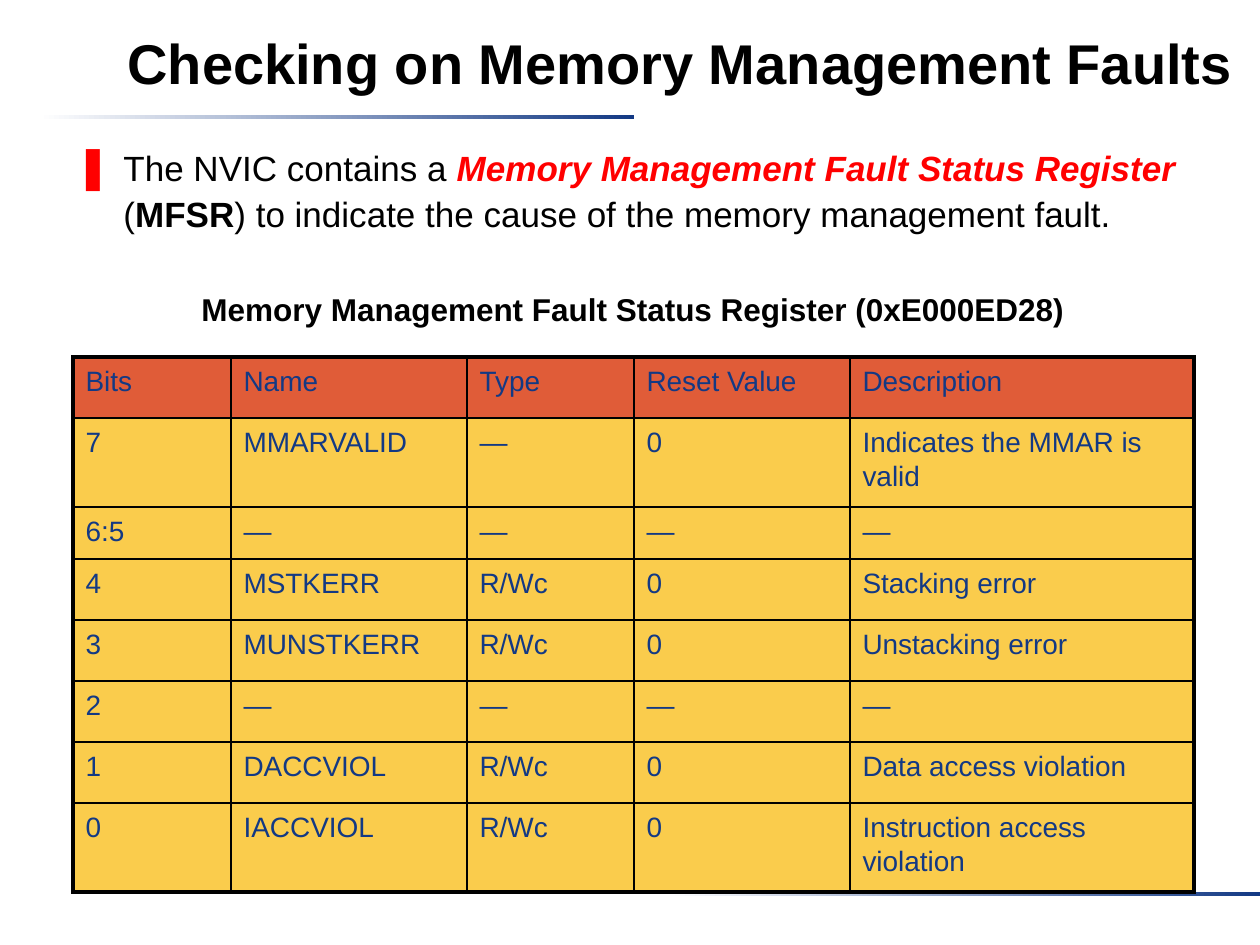
"""Build the memory management fault slide."""
import lxml.etree
import pptx
import pptx.dml.color
import pptx.enum.shapes
import pptx.enum.text
import pptx.oxml.ns
import pptx.util

PIXEL = 914400 / 126
COLORS = {
    "white": "FFFFFF", "black": "000000", "navy": "133984",
    "red": "FF0000", "header": "E05C38", "body": "FACC4C",
}
COLUMN_WIDTHS = [158, 236, 167, 216, 344]
ROW_HEIGHTS = [61, 89, 52, 61, 61, 61, 61, 89]
REGISTER_BITS = [
    ["Bits", "Name", "Type", "Reset Value", "Description"],
    ["7", "MMARVALID", "—", "0", "Indicates the MMAR is valid"],
    ["6:5", "—", "—", "—", "—"],
    ["4", "MSTKERR", "R/Wc", "0", "Stacking error"],
    ["3", "MUNSTKERR", "R/Wc", "0", "Unstacking error"],
    ["2", "—", "—", "—", "—"],
    ["1", "DACCVIOL", "R/Wc", "0", "Data access violation"],
    ["0", "IACCVIOL", "R/Wc", "0", "Instruction access violation"],
]


def px(length):
    """Turn pixels into EMU."""
    return pptx.util.Emu(round(length * PIXEL))


def rgb(name):
    """Look up a named colour."""
    return pptx.dml.color.RGBColor.from_string(COLORS[name])


def add_element(parent, tag, **attributes):
    """Append a DrawingML element to a parent."""
    element = lxml.etree.SubElement(parent, pptx.oxml.ns.qn(tag))
    for name, value in attributes.items():
        element.set(name, str(value))
    return element


def add_run(paragraph, text, size, color="black", bold=False, italic=False):
    """Add formatted text to a paragraph."""
    run = paragraph.add_run()
    run.text = text
    run.font.name = "Arial"
    run.font.size = pptx.util.Pt(size)
    run.font.color.rgb = rgb(color)
    run.font.bold = bold
    run.font.italic = italic


def add_rectangle(slide, left, top, width, height):
    """Add a rectangle without line or shadow."""
    shape = slide.shapes.add_shape(
        pptx.enum.shapes.MSO_SHAPE.RECTANGLE, px(left), px(top), px(width), px(height))
    shape.shadow.inherit = False
    shape.line.fill.background()
    return shape


def add_gradient_bar(slide, left, top):
    """Add a thin bar that fades from white to navy."""
    fill = add_rectangle(slide, left, top, 595, 4).fill
    fill.gradient()
    fill.gradient_angle = 0
    for stop, color in zip(fill.gradient_stops, ("white", "navy")):
        stop.color.rgb = rgb(color)


def add_title(slide, text):
    """Add the slide title on a white panel."""
    shape = add_rectangle(slide, 115, 16, 1131, 90)
    shape.fill.solid()
    shape.fill.fore_color.rgb = rgb("white")
    frame = shape.text_frame
    frame.word_wrap = False
    frame.margin_top, frame.margin_bottom = px(8), px(6)
    frame.vertical_anchor = pptx.enum.text.MSO_ANCHOR.MIDDLE
    paragraph = frame.paragraphs[0]
    paragraph.alignment = pptx.enum.text.PP_ALIGN.CENTER
    add_run(paragraph, text, 32, bold=True)


def add_text_box(slide, left, top, width, height, wrap=True):
    """Add a text box and return its first paragraph."""
    box = slide.shapes.add_textbox(px(left), px(top), px(width), px(height))
    box.text_frame.word_wrap = wrap
    return box.text_frame.paragraphs[0]


def set_bullet(paragraph, character, color, percent, indent):
    """Give a paragraph a coloured bullet and a hanging indent."""
    properties = paragraph._p.get_or_add_pPr()
    properties.set("marL", str(px(indent)))
    properties.set("indent", str(-px(indent)))
    bullet_color = add_element(properties, "a:buClr")
    add_element(bullet_color, "a:srgbClr", val=COLORS[color])
    add_element(properties, "a:buSzPct", val=percent * 1000)
    add_element(properties, "a:buFont", typeface="Arial")
    add_element(properties, "a:buChar", char=character)


def set_borders(cell, **widths):
    """Draw black cell borders with the given side widths in points."""
    properties = cell._tc.get_or_add_tcPr()
    for side, width in widths.items():
        line = add_element(properties, f"a:ln{side}", w=pptx.util.Pt(width))
        fill = add_element(line, "a:solidFill")
        add_element(fill, "a:srgbClr", val=COLORS["black"])


def add_register_table(slide, left, top):
    """Add the register table with a thick outer frame."""
    last_row, last_column = len(ROW_HEIGHTS) - 1, len(COLUMN_WIDTHS) - 1
    table = slide.shapes.add_table(
        len(ROW_HEIGHTS), len(COLUMN_WIDTHS), px(left), px(top),
        px(sum(COLUMN_WIDTHS)), px(sum(ROW_HEIGHTS))).table
    table.first_row = table.horz_banding = False
    for column, width in zip(table.columns, COLUMN_WIDTHS):
        column.width = px(width)
    for row_index, (row, height) in enumerate(zip(table.rows, ROW_HEIGHTS)):
        row.height = px(height)
        for column_index, cell in enumerate(row.cells):
            set_borders(
                cell,
                L=2.25 if column_index == 0 else 1,
                R=2.25 if column_index == last_column else 1,
                T=2.25 if row_index == 0 else 1,
                B=2.25 if row_index == last_row else 1)
            cell.fill.solid()
            cell.fill.fore_color.rgb = rgb("body" if row_index else "header")
            paragraph = cell.text_frame.paragraphs[0]
            paragraph.line_spacing = 1.1
            paragraph.space_before = pptx.util.Pt(3)
            add_run(paragraph, REGISTER_BITS[row_index][column_index], 16, "navy")


def main():
    """Build and save the presentation."""
    presentation = pptx.Presentation()
    presentation.slide_width, presentation.slide_height = px(1260), px(945)
    slide = presentation.slides.add_slide(presentation.slide_layouts[6])
    add_gradient_bar(slide, 39, 115)
    add_gradient_bar(slide, 665, 892)

    statement = add_text_box(slide, 63, 136, 1143, 139)
    statement.line_spacing = 1.1
    statement.space_before = pptx.util.Pt(12)
    set_bullet(statement, "❚", "red", 120, 48)
    add_run(statement, "The NVIC contains a ", 20)
    add_run(statement, "Memory Management Fault Status Register ", 20, "red",
            bold=True, italic=True)
    add_run(statement, "(", 20)
    add_run(statement, "MFSR", 20, bold=True)
    add_run(statement, ") to indicate the cause of the memory management fault.", 20)

    caption = add_text_box(slide, 189, 284, 888, 50, wrap=False)
    add_run(caption, "Memory Management Fault Status Register (0xE000ED28)", 18, bold=True)
    add_register_table(slide, 73, 357)
    add_title(slide, "Checking on Memory Management Faults")
    presentation.save("out.pptx")


if __name__ == "__main__":
    main()
